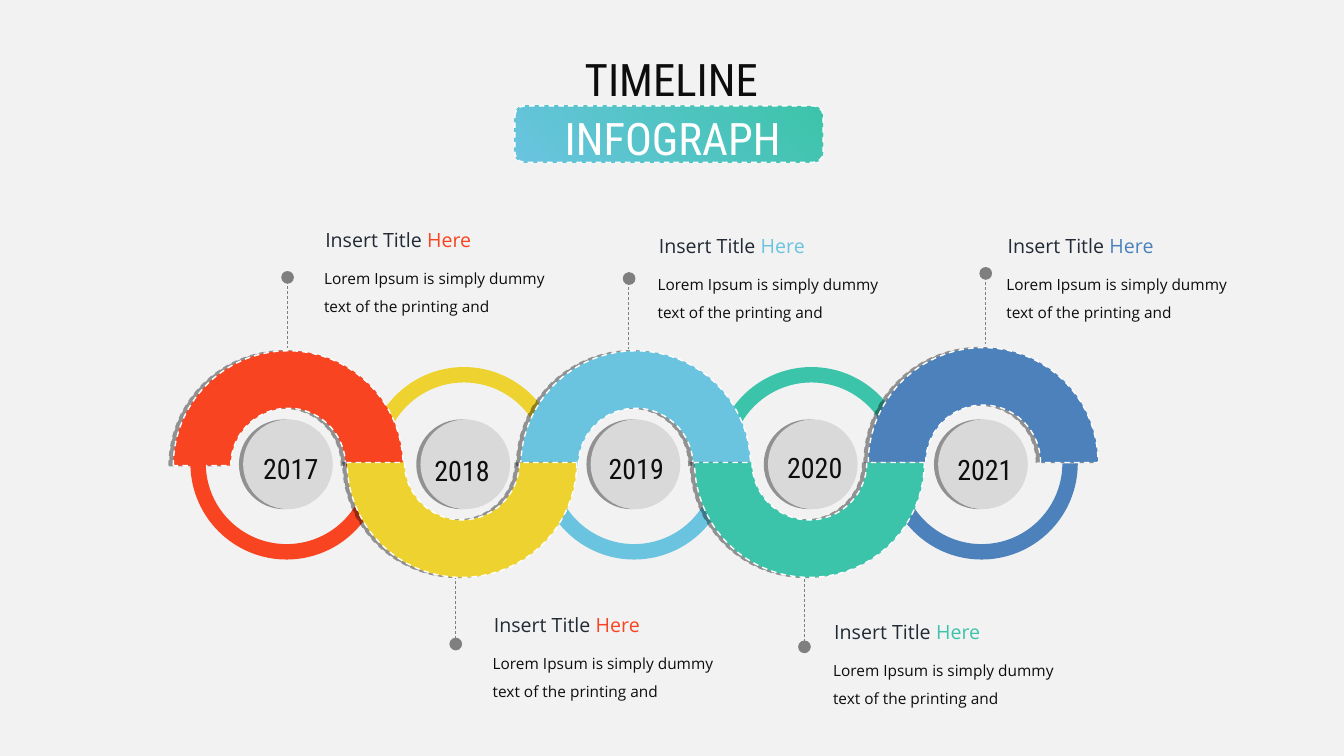
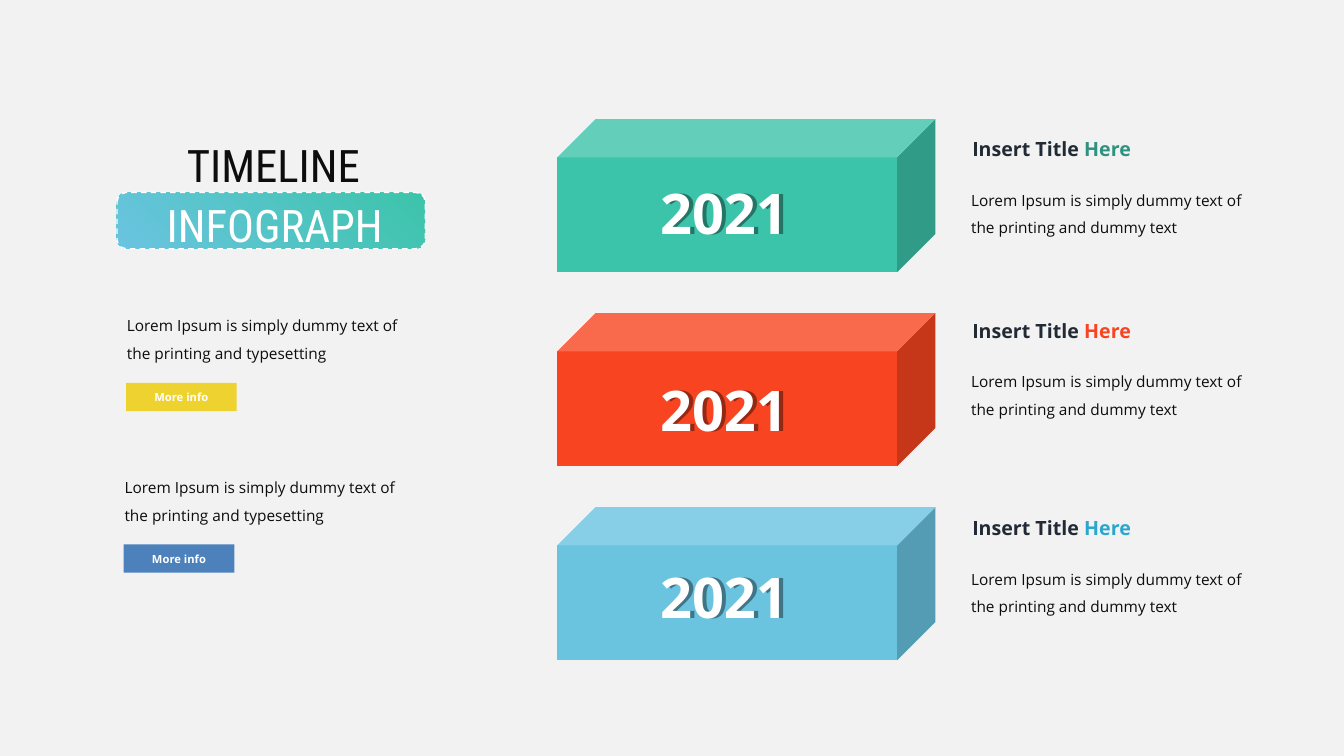
"""Builds a two-slide timeline infographic."""
import lxml.etree
import pptx
import pptx.dml.color
import pptx.enum.dml
import pptx.enum.shapes
import pptx.enum.text
import pptx.oxml.ns
import pptx.util

Cm, Pt = pptx.util.Cm, pptx.util.Pt
RGB = pptx.dml.color.RGBColor.from_string
qn = pptx.oxml.ns.qn
MSO = pptx.enum.shapes.MSO_SHAPE
DASH = pptx.enum.dml.MSO_LINE.DASH
ALIGN = pptx.enum.text.PP_ALIGN

COLORS = {
    "back": "F2F2F2", "white": "FFFFFF", "ink": "0D0D0D", "navy": "222A35",
    "gray": "7F7F7F", "dial": "D9D9D9", "red": "F84420", "yellow": "EED330",
    "sky": "6AC4E0", "teal": "3CC4AA", "blue": "4C81BC",
    "deep teal": "2D9380", "deep sky": "2BA6CD",
}
HEAD_FONT, BODY_FONT = "Roboto Condensed", "Open Sans"


def add_shape(s, kind, box, fill=None, dashed=False, shadow_angle=None):
    """Add a preset shape, or a text box when kind is None."""
    box = [Cm(v) for v in box]
    if kind is None:
        sp = s.shapes.add_textbox(*box)
    else:
        sp = s.shapes.add_shape(kind, *box)
        sp.fill.solid()
        sp.fill.fore_color.rgb = RGB(COLORS[fill])
        if dashed:
            sp.line.color.rgb = RGB(COLORS["white"])
            sp.line.width = Pt(1)
            sp.line.dash_style = DASH
        else:
            sp.line.fill.background()
    sp.shadow.inherit = False
    if shadow_angle is not None:
        effects = sp.element.spPr.find(qn("a:effectLst"))
        shadow = lxml.etree.SubElement(
            effects, qn("a:outerShdw"), blurRad="0", dist=str(Pt(3)),
            dir=str(shadow_angle * 60000), algn="ctr", rotWithShape="0")
        black = lxml.etree.SubElement(shadow, qn("a:srgbClr"), val="000000")
        lxml.etree.SubElement(black, qn("a:alpha"), val="40000")
    return sp


def add_text(sp, runs, size, font=BODY_FONT, bold=False, centred=False, spacing=1.0):
    """Write (text, colour) runs into a shape."""
    tf = sp.text_frame
    tf.word_wrap = True
    p = tf.paragraphs[0]
    p.alignment = ALIGN.CENTER if centred else ALIGN.LEFT
    p.line_spacing = spacing
    for text, color in runs:
        r = p.add_run()
        r.text = text
        r.font.size = Pt(size)
        r.font.name = font
        r.font.bold = bold
        r.font.color.rgb = RGB(COLORS[color])


prs = pptx.Presentation()
prs.slide_width, prs.slide_height = Cm(33.88), Cm(19.05)

for x, y in ((12.98, 2.67), (2.95, 4.85)):
    s = prs.slides.add_slide(prs.slide_layouts[6])
    s.background.fill.solid()
    s.background.fill.fore_color.rgb = RGB(COLORS["back"])
    badge = add_shape(s, MSO.ROUNDED_RECTANGLE, (x, y, 7.77, 1.42), "teal", dashed=True)
    badge.fill.gradient()
    badge.fill.gradient_angle = 225
    for stop, color in zip(badge.fill.gradient_stops, ("teal", "sky")):
        stop.color.rgb = RGB(COLORS[color])
    for text, color, box in (
        ("INFOGRAPH", "white", (x + 0.17, y, 7.62, 1.6)),
        ("TIMELINE", "ink", (x - 2.42, y - 1.5, 12.73, 1.6)),
    ):
        add_text(add_shape(s, None, box), [(text, color)], 32, HEAD_FONT, centred=True)

timeline, boxes = prs.slides

# year, year position, colour, accent, pin end, text position
milestones = [
    ("2017", (5.97, 11.25), "red", "red", (7.24, 6.83), (7.92, 6.43)),
    ("2018", (10.29, 11.3), "yellow", "red", (11.48, 16.36), (12.17, 16.13)),
    ("2019", (14.68, 11.25), "sky", "sky", (15.85, 6.86), (16.33, 6.58)),
    ("2020", (19.18, 11.23), "teal", "teal", (20.27, 16.43), (20.75, 16.31)),
    ("2021", (23.47, 11.28), "blue", "blue", (24.84, 6.73), (25.12, 6.58)),
]
BAND_X, BAND_STEP, BAND_SIZE = 4.37, 4.38, 5.79
BAND_TOPS = (8.84, 8.76, 8.84, 8.76, 8.76)
RING_TOP, RING_SIZE = 9.25, 4.85
ring_lefts = [BAND_X + BAND_STEP * i + (0.52 if i % 2 else 0.43) for i in range(5)]

for i, (year, place, color, accent, (x, y), (tx, ty)) in enumerate(milestones):
    up = i % 2 == 0
    pin = timeline.shapes.add_connector(
        pptx.enum.shapes.MSO_CONNECTOR.STRAIGHT,
        Cm(x), Cm(y), Cm(x), Cm(y + (1.93 if up else -1.93)))
    pin.line.color.rgb = RGB(COLORS["gray"])
    pin.line.width = Pt(0.5)
    pin.line.dash_style = DASH
    lxml.etree.SubElement(pin.element.spPr, qn("a:effectLst"))
    add_shape(timeline, MSO.OVAL, (x - 0.15, y if up else y - 0.29, 0.32, 0.32), "gray")
    add_text(add_shape(timeline, None, (tx, ty, 6.25, 1.65)),
             [("Lorem Ipsum is simply dummy text of the printing and", "ink")],
             11, spacing=1.5)
    add_text(add_shape(timeline, None, (tx + 0.03, ty - 0.81, 6.25, 0.86)),
             [("Insert Title ", "navy"), ("Here", accent)], 14)

layers = [("ring", 1), ("band", 0), ("ring", 0), ("band", 1)]
for part, first in layers:
    for i in range(first, 5, 2):
        color = milestones[i][2]
        if part == "ring":
            arc = add_shape(timeline, MSO.BLOCK_ARC,
                            (ring_lefts[i], RING_TOP, RING_SIZE, RING_SIZE), color)
            arc.adjustments[2] = 0.08
        else:
            arc = add_shape(timeline, MSO.BLOCK_ARC,
                            (BAND_X + BAND_STEP * i, BAND_TOPS[i], BAND_SIZE, BAND_SIZE),
                            color, dashed=True, shadow_angle=180)
            arc.adjustments[2] = 0.25
        upper = (part == "band") == (i % 2 == 0)
        arc.adjustments[0], arc.adjustments[1] = (108, 0) if upper else (0, 108)

for (year, place, *_), x in zip(milestones, ring_lefts):
    add_shape(timeline, MSO.OVAL, (x + 1.33, 10.57, 2.26, 2.26), "dial", shadow_angle=180)
    add_text(add_shape(timeline, None, (*place, 2.72, 1.12)),
             [(year, "ink")], 20, HEAD_FONT, centred=True)

for i, (color, accent, year_y, title_y) in enumerate((
    ("teal", "deep teal", 4.37, 3.33),
    ("red", "red", 9.35, 7.9),
    ("sky", "deep sky", 14.05, 12.88),
)):
    add_shape(boxes, MSO.CUBE, (14.05, 3 + 4.89 * i, 9.53, 3.86), color)
    add_text(add_shape(boxes, None, (15.47, year_y, 5.56, 1.96), shadow_angle=0),
             [("2021", "white")], 40, bold=True, centred=True)
    add_text(add_shape(boxes, None, (24.26, title_y, 6.25, 0.86)),
             [("Insert Title ", "navy"), ("Here", accent)], 14, bold=True)
    add_text(add_shape(boxes, None, (24.23, title_y + 1.12, 7.77, 1.65)),
             [("Lorem Ipsum is simply dummy text of the printing and dummy text", "ink")],
             11, spacing=1.5)

for x, y, color in ((3.18, 9.65, "yellow"), (3.12, 13.72, "blue")):
    button = add_shape(boxes, MSO.RECTANGLE, (x, y, 2.79, 0.71), color)
    button.text_frame.vertical_anchor = pptx.enum.text.MSO_ANCHOR.MIDDLE
    add_text(button, [("More info", "white")], 8, bold=True, centred=True)
    add_text(add_shape(boxes, None, (x - 0.23, y - 2.03, 7.57, 1.65)),
             [("Lorem Ipsum is simply dummy text of the printing and typesetting", "ink")],
             11, spacing=1.5)

prs.save("out.pptx")
